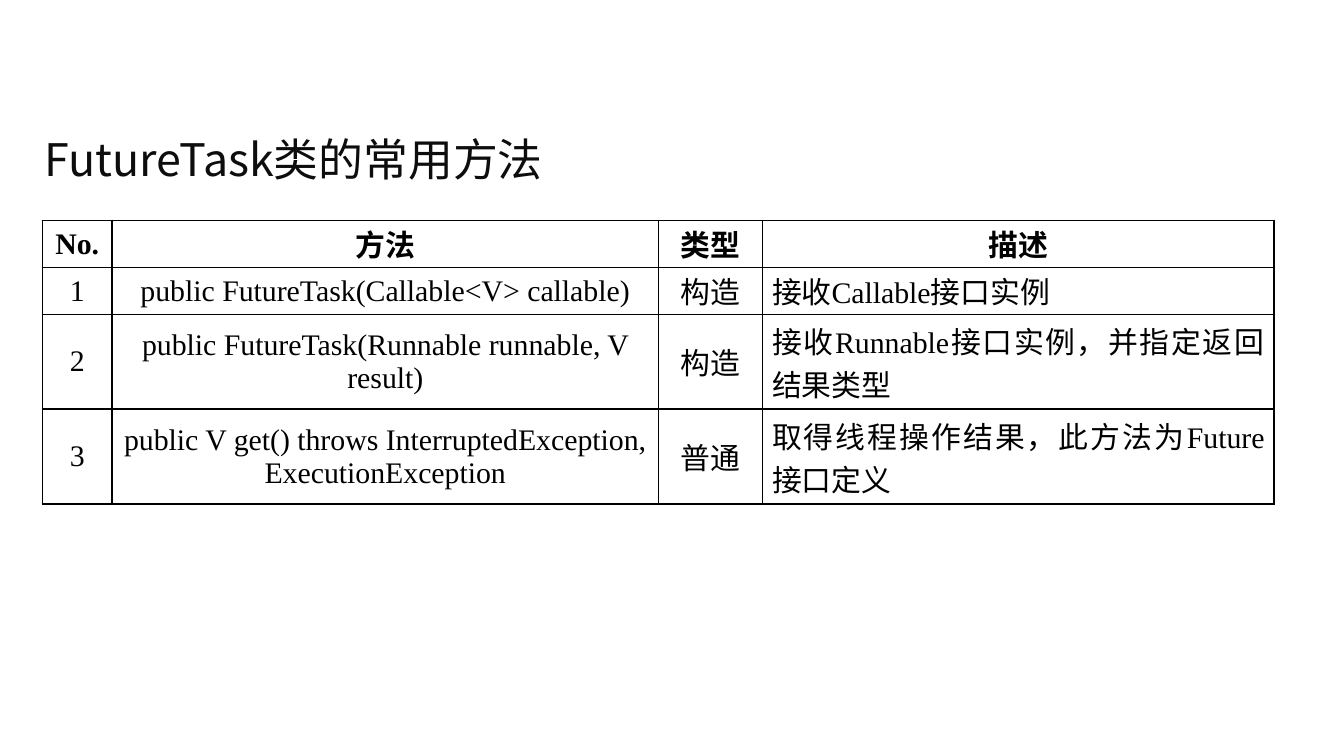
import dataclasses

import lxml.etree
import pptx
import pptx.dml.color
import pptx.enum.text
import pptx.oxml.ns
import pptx.util

PX = 4572  # EMU per px, 200 px to the inch
ALIGN = pptx.enum.text.PP_ALIGN
MIDDLE = pptx.enum.text.MSO_ANCHOR.MIDDLE


@dataclasses.dataclass(frozen=True)
class Theme:
    title_color: str = "0D0D0D"
    ink: str = "000000"
    latin_font: str = "Times New Roman"
    chinese_font: str = "Noto Sans CJK SC"
    title_size: int = 24
    table_size: int = 16
    border_width: int = 1


THEME = Theme()

METHODS = [
    ("No.", "方法", "类型", "描述"),
    ("1", "public FutureTask(Callable<V> callable)", "构造", "接收Callable接口实例"),
    ("2", "public FutureTask(Runnable runnable, V result)", "构造",
     "接收Runnable接口实例，并指定返回结果类型"),
    ("3", "public V get() throws InterruptedException, ExecutionException", "普通",
     "取得线程操作结果，此方法为Future接口定义"),
]
COLUMN_WIDTHS = (104, 813, 155, 761)
ROW_HEIGHTS = (70, 70, 141, 141)


def px(length):
    return pptx.util.Emu(length * PX)


def add_run(paragraph, text, font, size, color, bold=False):
    run = paragraph.add_run()
    run.text = text
    run.font.size = pptx.util.Pt(size)
    run.font.bold = bold
    run.font.color.rgb = pptx.dml.color.RGBColor.from_string(color)
    run.font.name = font
    # Chinese characters take their own font
    chinese = lxml.etree.SubElement(run.font._element, pptx.oxml.ns.qn("a:ea"))
    chinese.set("typeface", THEME.chinese_font)


def add_borders(cell):
    qn = pptx.oxml.ns.qn
    properties = cell._tc.get_or_add_tcPr()
    for side in ("a:lnL", "a:lnR", "a:lnT", "a:lnB"):
        line = lxml.etree.SubElement(properties, qn(side))
        line.set("w", str(pptx.util.Pt(THEME.border_width)))
        fill = lxml.etree.SubElement(line, qn("a:solidFill"))
        lxml.etree.SubElement(fill, qn("a:srgbClr")).set("val", THEME.ink)


def add_title(slide, left, top, width, height):
    frame = slide.shapes.add_textbox(px(left), px(top), px(width), px(height)).text_frame
    frame.word_wrap = True
    frame.vertical_anchor = MIDDLE
    add_run(frame.paragraphs[0], "FutureTask类的常用方法",
            THEME.chinese_font, THEME.title_size, THEME.title_color)


def fill_cell(cell, text, align, bold):
    cell.margin_left = cell.margin_right = px(14)
    cell.margin_top = cell.margin_bottom = 0
    cell.vertical_anchor = MIDDLE
    add_borders(cell)
    cell.fill.background()
    paragraph = cell.text_frame.paragraphs[0]
    paragraph.alignment = align
    add_run(paragraph, text, THEME.latin_font, THEME.table_size, THEME.ink, bold)


def add_method_table(slide, left, top):
    table = slide.shapes.add_table(
        len(ROW_HEIGHTS), len(COLUMN_WIDTHS), px(left), px(top),
        px(sum(COLUMN_WIDTHS)), px(sum(ROW_HEIGHTS))).table
    table.first_row = table.horz_banding = False
    for column, width in zip(table.columns, COLUMN_WIDTHS):
        column.width = px(width)
    for row, height in zip(table.rows, ROW_HEIGHTS):
        row.height = px(height)

    # Headings are bold and centred; descriptions are justified
    last_column = len(COLUMN_WIDTHS) - 1
    for r, method in enumerate(METHODS):
        for c, text in enumerate(method):
            is_description = r > 0 and c == last_column
            align = ALIGN.JUSTIFY if is_description else ALIGN.CENTER
            fill_cell(table.cell(r, c), text, align, bold=r == 0)


def main():
    presentation = pptx.Presentation()
    presentation.slide_width = px(2000)
    presentation.slide_height = px(1125)
    slide = presentation.slides.add_slide(presentation.slide_layouts[6])
    add_title(slide, 46, 172, 1906, 128)
    add_method_table(slide, 63, 328)
    presentation.save("out.pptx")


if __name__ == "__main__":
    main()
